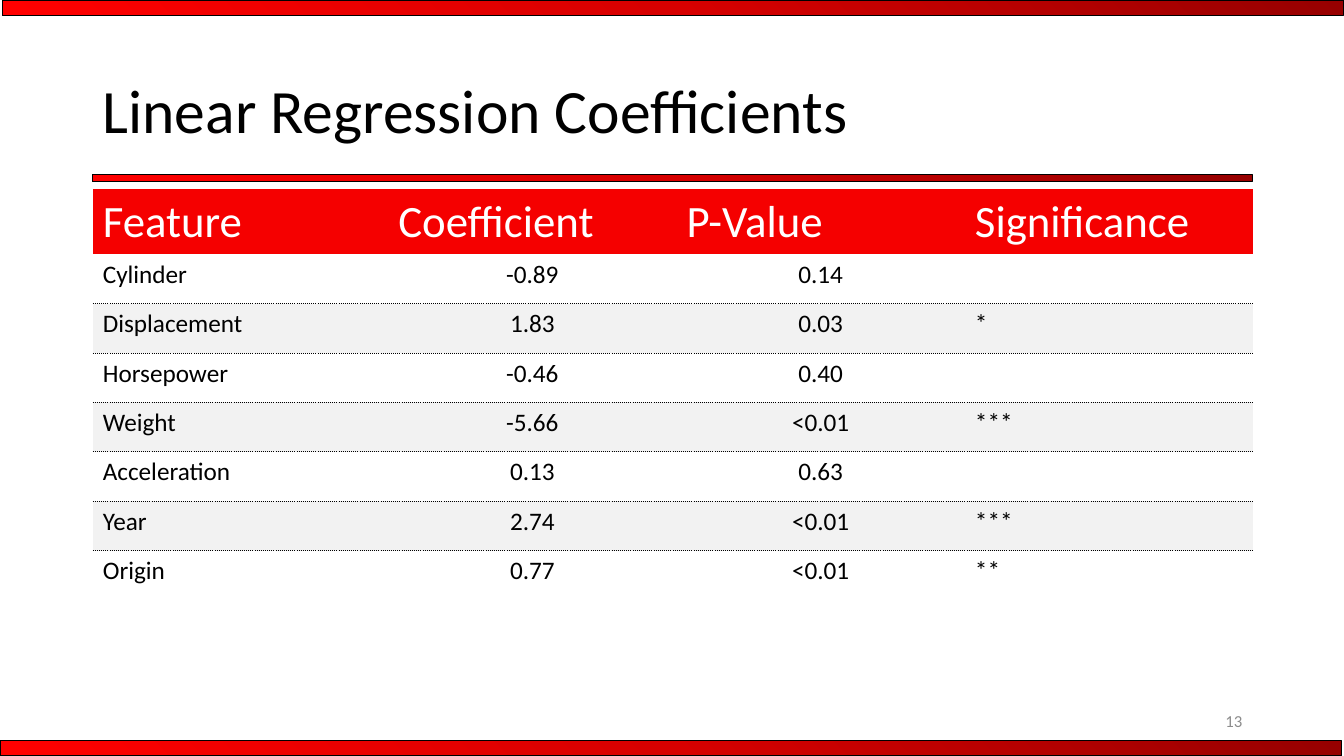
"""Build the linear regression coefficients slide."""
from lxml import etree
from pptx import Presentation, oxml
from pptx import util as u
from pptx.dml.color import RGBColor
from pptx.enum import shapes, text
from pptx.oxml import ns

TITLE = "Linear Regression Coefficients"
PAGE = "13"
HEADINGS = ("Feature", "Coefficient", "P-Value", "Significance")
FEATURES = [
    ("Cylinder", "-0.89", "0.14", ""),
    ("Displacement", "1.83", "0.03", "*"),
    ("Horsepower", "-0.46", "0.40", ""),
    ("Weight", "-5.66", "<0.01", "***"),
    ("Acceleration", "0.13", "0.63", ""),
    ("Year", "2.74", "<0.01", "***"),
    ("Origin", "0.77", "<0.01", "**"),
]
BARS = [(0.02, 0, 13.31, 0.15), (0, 7.35, 13.31, 0.15), (0.92, 1.73, 11.5, 0.07)]
BAR_STOPS = [(0, "970000"), (50, "D70000"), (100, "FF0000")]
COLUMN_WIDTHS = (2.93, 2.86, 2.86, 2.86)
HEADING_HEIGHT, FEATURE_HEIGHT = 0.64, 0.49
CENTRED_COLUMNS = (1, 2)
NO_STYLE = "{2D5ABB26-0587-4C30-8999-92F81FD0307C}"

FONT = "Calibri"
BLACK = RGBColor(0x00, 0x00, 0x00)
WHITE = RGBColor(0xFF, 0xFF, 0xFF)
RED = RGBColor(0xF5, 0x00, 0x00)
BAND = RGBColor(0xF2, 0xF2, 0xF2)
GREY = RGBColor(0x8C, 0x8C, 0x8C)


def write(paragraph, words, size, color, align=text.PP_ALIGN.LEFT):
    paragraph.alignment = align
    paragraph.font.size = u.Pt(size)
    if words:
        run = paragraph.add_run()
        run.text = words
        run.font.name = FONT
        run.font.size = u.Pt(size)
        run.font.color.rgb = color


def add_label(slide, box, *style):
    frame = slide.shapes.add_textbox(*map(u.Inches, box)).text_frame
    frame.word_wrap = True
    frame.vertical_anchor = text.MSO_ANCHOR.MIDDLE
    write(frame.paragraphs[0], *style)
    return frame.paragraphs[0]


def add_bar(slide, box):
    bar = slide.shapes.add_shape(shapes.MSO_SHAPE.RECTANGLE, *map(u.Inches, box))
    bar.shadow.inherit = False
    bar.line.color.rgb = BLACK
    bar.line.width = u.Pt(0.75)
    stops = "".join(
        f'<a:gs pos="{at * 1000}"><a:srgbClr val="{color}"/></a:gs>'
        for at, color in BAR_STOPS)
    gradient = oxml.parse_xml(
        f'<a:gradFill {ns.nsdecls("a")} rotWithShape="1"><a:gsLst>{stops}</a:gsLst>'
        f'<a:lin ang="{135 * 60000}" scaled="1"/></a:gradFill>')
    bar.element.spPr.find(ns.qn("a:prstGeom")).addnext(gradient)


def add_dotted_edges(cell, edges):
    properties = cell._tc.get_or_add_tcPr()
    for place, edge in enumerate(edges):
        line = oxml.parse_xml(
            f'<a:{edge} {ns.nsdecls("a")} w="{u.Pt(0.75)}"><a:solidFill>'
            f'<a:srgbClr val="{BLACK}"/></a:solidFill>'
            f'<a:prstDash val="sysDot"/></a:{edge}>')
        properties.insert(place, line)


def add_coefficients(slide):
    rows = [HEADINGS, *FEATURES]
    height = HEADING_HEIGHT + FEATURE_HEIGHT * len(FEATURES)
    frame = slide.shapes.add_table(
        len(rows), len(HEADINGS), u.Inches(0.92), u.Inches(1.88),
        u.Inches(sum(COLUMN_WIDTHS)), u.Inches(height))
    table = frame.table
    table._tbl.tblPr.find(ns.qn("a:tableStyleId")).text = NO_STYLE
    for column, width in zip(table.columns, COLUMN_WIDTHS):
        column.width = u.Inches(width)
    for r, values in enumerate(rows):
        heading = r == 0
        table.rows[r].height = u.Inches(HEADING_HEIGHT if heading else FEATURE_HEIGHT)
        edges = (["lnT"] if r > 1 else []) + (["lnB"] if 0 < r < len(FEATURES) else [])
        for c, value in enumerate(values):
            cell = table.cell(r, c)
            cell.fill.solid()
            cell.fill.fore_color.rgb = RED if heading else WHITE if r % 2 else BAND
            centred = not heading and c in CENTRED_COLUMNS
            write(cell.text_frame.paragraphs[0], value, 32 if heading else 18,
                  WHITE if heading else BLACK,
                  text.PP_ALIGN.CENTER if centred else text.PP_ALIGN.LEFT)
            add_dotted_edges(cell, edges)


def main():
    deck = Presentation()
    deck.slide_width, deck.slide_height = u.Inches(13.33), u.Inches(7.5)
    slide = deck.slides.add_slide(deck.slide_layouts[6])
    for box in BARS:
        add_bar(slide, box)
    add_coefficients(slide)
    title = add_label(slide, (0.92, 0.4, 11.5, 1.45), TITLE, 44, BLACK)
    title.line_spacing = 0.9
    add_label(slide, (9.42, 6.95, 3, 0.4), PAGE, 12, GREY, text.PP_ALIGN.RIGHT)
    deck.save("out.pptx")


if __name__ == "__main__":
    main()
